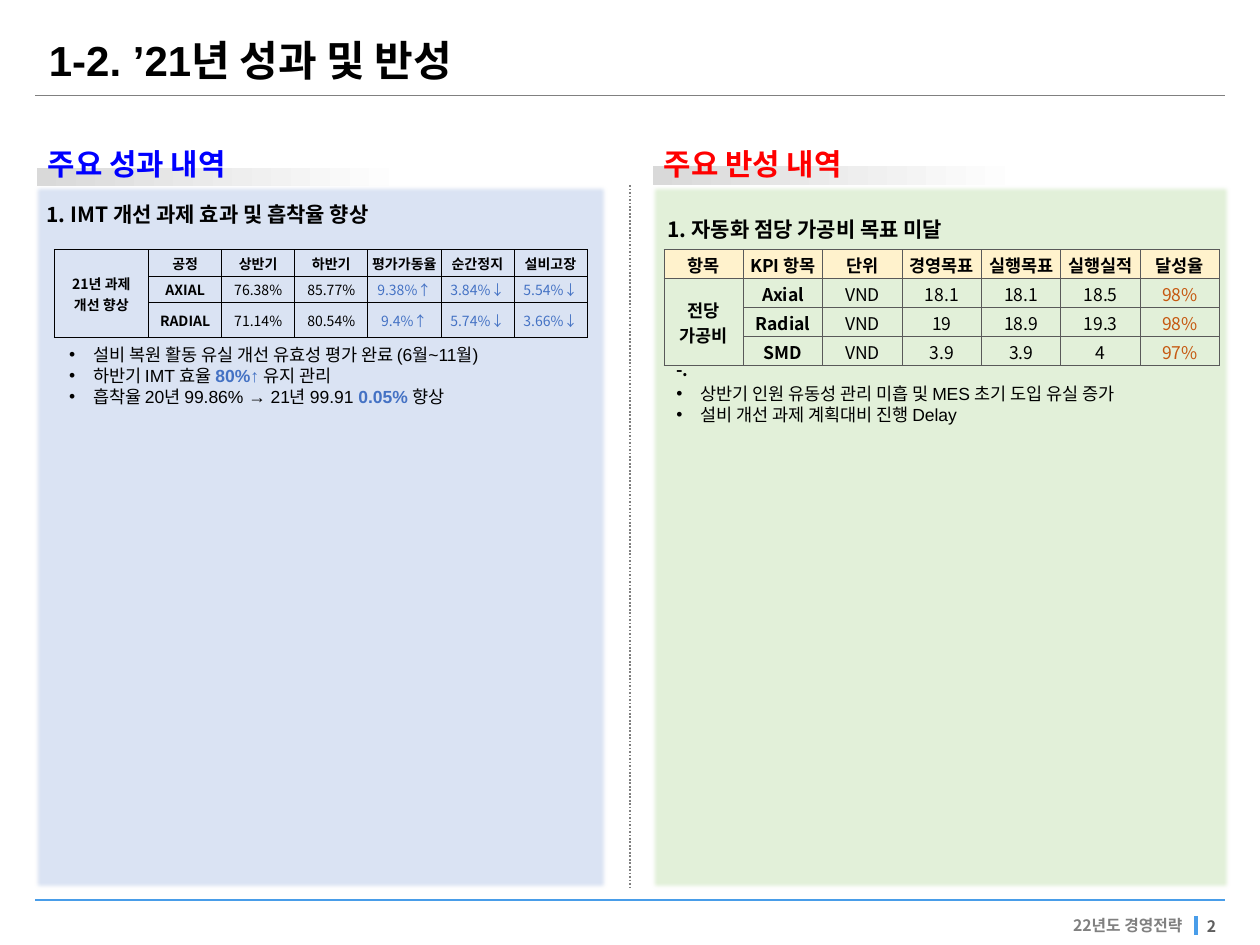
from dataclasses import dataclass

from lxml.etree import SubElement
from pptx import Presentation
from pptx.dml.color import RGBColor
from pptx.enum.dml import MSO_LINE
from pptx.enum.shapes import MSO_CONNECTOR, MSO_SHAPE
from pptx.enum.text import MSO_ANCHOR, PP_ALIGN
from pptx.oxml.ns import qn
from pptx.util import Inches, Pt


@dataclass(frozen=True)
class Theme:
    latin: str = "Arial"
    korean: str = "Noto Sans CJK KR"
    ink: str = "000000"
    grey: str = "808080"
    page: str = "5F5F5F"
    rule: str = "499DE9"
    band: str = "D9D9D9"
    white: str = "FFFFFF"
    edge: str = "F2F2F2"
    good: str = "0000FF"
    bad: str = "FF0000"
    good_panel: str = "DAE3F3"
    bad_panel: str = "E2F0D9"
    header: str = "FFF2CC"
    gain: str = "4472C4"
    rate: str = "C65911"
    border: str = "595959"
    title: float = 24
    section: float = 17
    topic: float = 12
    body: float = 10
    footer: float = 9
    small: float = 8


def rgb(color):
    return RGBColor.from_string(color)


class SlideBuilder:
    """Places elements on a grid of 100 columns by 75 rows."""

    def __init__(self, prs, theme):
        self.theme = theme
        self.cell_w = prs.slide_width / 100
        self.cell_h = prs.slide_height / 75
        self.slide = prs.slides.add_slide(prs.slide_layouts[6])

    def x(self, columns):
        return round(columns * self.cell_w)

    def y(self, rows):
        return round(rows * self.cell_h)

    def box(self, x, y, w, h):
        return self.x(x), self.y(y), self.x(w), self.y(h)

    def add_run(self, p, text, size, color, bold, font):
        r = p.add_run()
        r.text = text
        r.font.size, r.font.bold, r.font.name = Pt(size), bold, font
        r.font.color.rgb = rgb(color)
        SubElement(r.font._element, qn("a:ea"), typeface=self.theme.korean)

    def line(self, x1, y1, x2, y2, color, width=1, dash=None):
        s = self.slide.shapes.add_connector(
            MSO_CONNECTOR.STRAIGHT, self.x(x1), self.y(y1), self.x(x2), self.y(y2))
        s.line.color.rgb = rgb(color)
        s.line.width = Pt(width)
        if dash:
            s.line.dash_style = dash
        SubElement(s._element.spPr, qn("a:effectLst"))

    def rect(self, *place):
        sp = self.slide.shapes.add_shape(MSO_SHAPE.RECTANGLE, *self.box(*place))
        sp.shadow.inherit = False
        return sp

    def band(self, *place):
        sp = self.rect(*place)
        sp.line.fill.background()
        sp.fill.gradient()
        sp.fill.gradient_angle = 0
        for stop, color in zip(sp.fill.gradient_stops, (self.theme.band, self.theme.white)):
            stop.color.rgb = rgb(color)

    def panel(self, *place, color):
        sp = self.rect(*place)
        sp.fill.solid()
        sp.fill.fore_color.rgb = rgb(color)
        sp.line.color.rgb = rgb(self.theme.edge)
        sp.line.width = Pt(1)
        effects = sp._element.spPr.find(qn("a:effectLst"))
        SubElement(effects, qn("a:softEdge"), rad=str(Pt(2.5)))

    def text(self, *place, text, size, color=None, font=None, spacing=None,
             align=None, anchor=MSO_ANCHOR.MIDDLE):
        tf = self.slide.shapes.add_textbox(*self.box(*place)).text_frame
        tf.word_wrap = True
        tf.vertical_anchor = anchor
        p = tf.paragraphs[0]
        p.line_spacing, p.alignment = spacing, align
        self.add_run(p, text, size, color or self.theme.ink, True,
                     font or self.theme.korean)

    def bullets(self, *place, items):
        tf = self.slide.shapes.add_textbox(*self.box(*place)).text_frame
        tf.word_wrap = True
        for i, runs in enumerate(items):
            p = tf.add_paragraph() if i else tf.paragraphs[0]
            pPr = p._p.get_or_add_pPr()
            pPr.set("marL", str(Inches(0.19)))
            pPr.set("indent", str(-Inches(0.19)))
            SubElement(pPr, qn("a:buFont"), typeface=self.theme.latin)
            SubElement(pPr, qn("a:buChar"), char="•")
            # Every second run is a highlighted figure
            for j, text in enumerate(runs):
                strong = j % 2 == 1
                self.add_run(p, text, self.theme.body,
                             self.theme.gain if strong else self.theme.ink,
                             strong, self.theme.latin)

    def table(self, x, y, widths, heights, rows, size, border, accent, accent_from,
              merge_from, header_fill=None):
        frame = self.slide.shapes.add_table(
            len(rows), len(widths), *self.box(x, y, sum(widths), sum(heights)))
        table = frame.table
        table.first_row = table.horz_banding = False
        for column, width in zip(table.columns, widths):
            column.width = self.x(width)
        for row, height in zip(table.rows, heights):
            row.height = self.y(height)
        for i, values in enumerate(rows):
            for j, value in enumerate(values):
                cell = table.cell(i, j)
                color = accent if i and j >= accent_from else self.theme.ink
                self.fill_cell(cell, value, size, color, i == 0 or j < 2)
                self.style_cell(cell, border, header_fill if i == 0 else None)
        table.cell(merge_from, 0).merge(table.cell(len(rows) - 1, 0))

    def fill_cell(self, cell, value, size, color, bold):
        cell.margin_left = cell.margin_right = cell.margin_top = Inches(0.01)
        cell.margin_bottom = 0
        cell.vertical_anchor = MSO_ANCHOR.MIDDLE
        p = cell.text_frame.paragraphs[0]
        p.alignment = PP_ALIGN.CENTER
        for k, part in enumerate(value.split("\n")):
            if k:
                p.add_line_break()
            self.add_run(p, part, size, color, bold, self.theme.korean)

    def style_cell(self, cell, border, fill):
        tcPr = cell._tc.get_or_add_tcPr()
        for side in ("lnL", "lnR", "lnT", "lnB"):
            ln = SubElement(tcPr, qn(f"a:{side}"), w=str(Pt(0.5)))
            SubElement(SubElement(ln, qn("a:solidFill")), qn("a:srgbClr"), val=border)
        if fill:
            cell.fill.solid()
            cell.fill.fore_color.rgb = rgb(fill)
        else:
            cell.fill.background()


def main():
    prs = Presentation()
    prs.slide_width, prs.slide_height = Inches(10), Inches(7.5)
    t = Theme()
    s = SlideBuilder(prs, t)

    # Frame and footer
    s.line(2.8, 7.6, 97.2, 7.6, t.grey, 0.75)
    s.line(2.8, 71.4, 97.2, 71.4, t.rule, 1.25)
    s.text(94.8, 72.7, 4.4, 2, text="2", size=t.footer, color=t.page, spacing=0.6)
    s.text(83.6, 72.2, 11.8, 2.5, text="22년도 경영전략", size=t.footer,
           color=t.grey, align=PP_ALIGN.CENTER)
    s.line(94.9, 72.7, 94.9, 74.2, t.rule, 2.25)
    s.text(2.9, 2.8, 65.4, 4.5, text="1-2. ’21년 성과 및 반성", size=t.title,
           font=t.latin, spacing=0.85)

    # Section headings, divider and panels
    for x, y, label, color in ((2.9, 13.3, "주요 성과 내역", t.good),
                               (51.8, 13.2, "주요 반성 내역", t.bad)):
        s.band(x, y, 29.5, 1.5)
        s.text(x - 0.1, 11.1, 18, 3.9, text=label, size=t.section, color=color,
               anchor=MSO_ANCHOR.TOP)
    s.line(50, 14.7, 50, 70.6, t.grey, 1, MSO_LINE.ROUND_DOT)
    s.panel(2.7, 14.7, 45.5, 55.9, color=t.good_panel)
    s.panel(51.7, 14.7, 46, 55.9, color=t.bad_panel)

    # Topics
    for x, y, label, size in (
            (2.7, 14.8, "1. IMT 개선 과제 효과 및 흡착율 향상", t.topic),
            (52, 16, "1. 자동화 점당 가공비 목표 미달", t.topic),
            (52.7, 27.1, "-.", t.body)):
        s.text(x, y, 41.4, 4.7, text=label, size=size, spacing=0.85)

    # Shortfalls
    s.table(52.7, 19.8, [6.3] * 7, [2.3] * 4, [
        ["항목", "KPI 항목", "단위", "경영목표", "실행목표", "실행실적", "달성율"],
        ["전당\n가공비", "Axial", "VND", "18.1", "18.1", "18.5", "98%"],
        ["", "Radial", "VND", "19", "18.9", "19.3", "98%"],
        ["", "SMD", "VND", "3.9", "3.9", "4", "97%"],
    ], t.body, t.border, t.rate, accent_from=6, merge_from=1, header_fill=t.header)
    s.bullets(52.7, 29.9, 43, 4.4, items=[
        ["상반기 인원 유동성 관리 미흡 및 MES 초기 도입 유실 증가"],
        ["설비 개선 과제 계획대비 진행 Delay"],
    ])

    # Achievements
    s.bullets(4.5, 26.8, 41, 6.1, items=[
        ["설비 복원 활동 유실 개선 유효성 평가 완료 (6월~11월)"],
        ["하반기 IMT 효율 ", "80%↑ ", "유지 관리"],
        ["흡착율 20년 99.86% → 21년 99.91 ", "0.05% ", "향상"],
    ])
    s.table(4.3, 19.8, [7.5] + [5.8] * 6, [2.1, 2.1, 2.7], [
        ["21년 과제\n개선 향상", "공정", "상반기", "하반기", "평가가동율", "순간정지", "설비고장"],
        ["", "AXIAL", "76.38%", "85.77%", "9.38%↑", "3.84%↓", "5.54%↓"],
        ["", "RADIAL", "71.14%", "80.54%", "9.4%↑", "5.74%↓", "3.66%↓"],
    ], t.small, t.ink, t.gain, accent_from=4, merge_from=0)

    prs.save("out.pptx")


if __name__ == "__main__":
    main()
